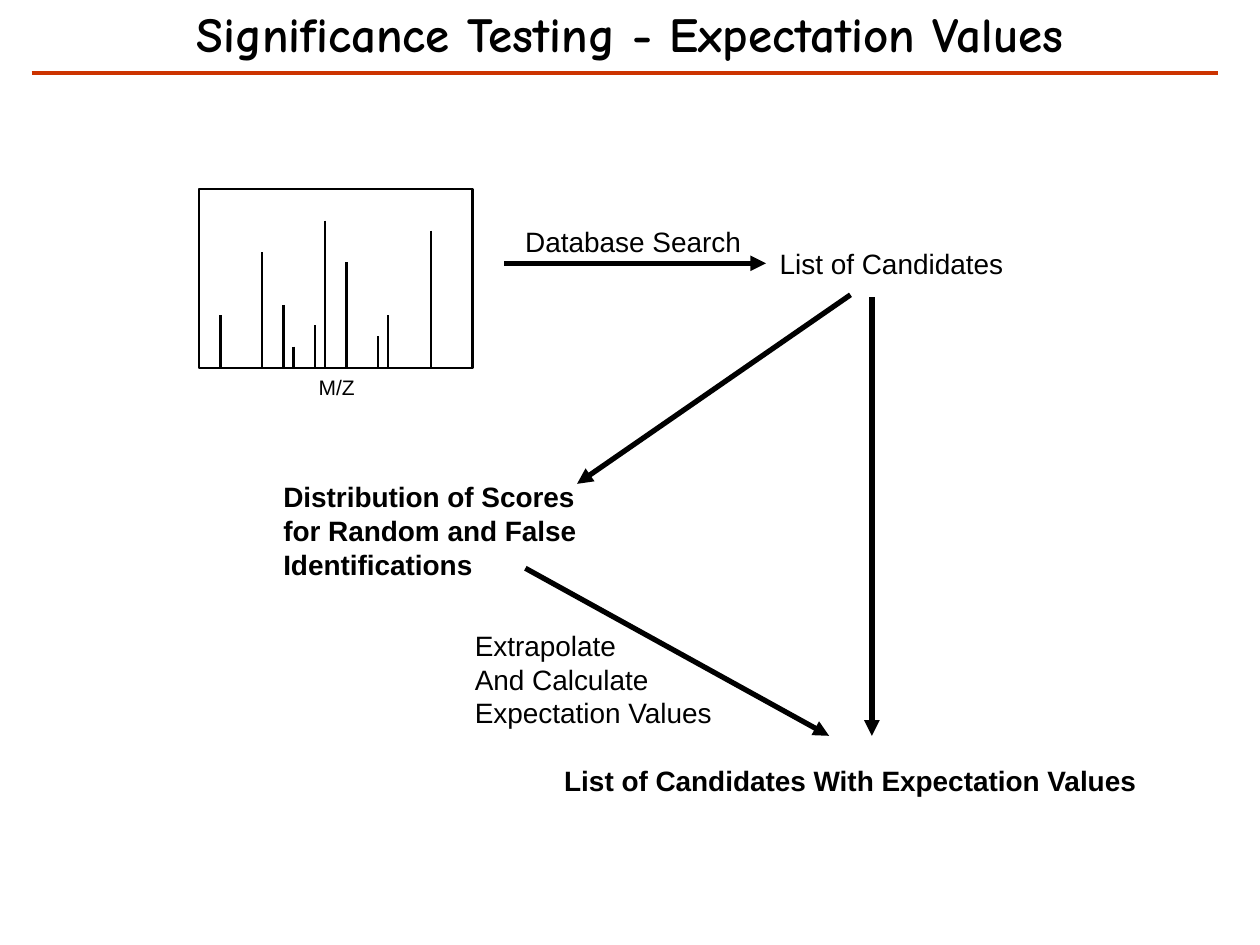
from lxml import etree
from pptx import Presentation
from pptx.dml.color import RGBColor
from pptx.enum.shapes import MSO_CONNECTOR, MSO_SHAPE
from pptx.enum.text import MSO_ANCHOR, MSO_AUTO_SIZE, PP_ALIGN
from pptx.oxml.ns import qn
from pptx.util import Inches, Pt

STRAIGHT = MSO_CONNECTOR.STRAIGHT
RECT = MSO_SHAPE.RECTANGLE
TOP = MSO_ANCHOR.TOP
FIT = MSO_AUTO_SIZE.SHAPE_TO_FIT_TEXT
NO_FIT = MSO_AUTO_SIZE.NONE
LEFT, CENTER = PP_ALIGN.LEFT, PP_ALIGN.CENTER

COLORS = {"ink": "000000", "rule": "CC3300"}

BASELINE = 2.92
PEAKS = [
    (1.75, 2.5), (2.08, 2), (2.25, 2.42), (2.33, 2.75), (2.5, 2.58),
    (2.58, 1.75), (2.75, 2.08), (3, 2.67), (3.08, 2.5), (3.42, 1.83),
]
ARROWS = [
    ((4, 2.09), (6.08, 2.09)),
    ((6.75, 2.34), (4.58, 3.84)),
    ((4.17, 4.51), (6.58, 5.84)),
    ((6.92, 2.36), (6.92, 5.84)),
]
LABELS = [
    ("Database Search", (4.07, 1.73, 1.93, 0.37), {}),
    ("M/Z", (2.43, 2.92, 0.49, 0.3), {"size": 12}),
    ("List of Candidates", (6.09, 1.91, 2, 0.37), {}),
    ("Extrapolate\nAnd Calculate\nExpectation Values",
     (3.67, 4.94, 2.1, 0.9), {}),
    ("List of Candidates With Expectation Values",
     (4.38, 6.01, 4.8, 0.37), {"bold": True}),
    ("Distribution of Scores\nfor Random and False\nIdentifications",
     (2.15, 3.76, 2.6, 0.9), {"bold": True}),
]


def rgb(name):
    return RGBColor.from_string(COLORS[name])


def add_text(s, text, box, size=16, font="Arial", bold=False, color="ink",
             align=LEFT, spacing=None, wrap=False, inset=None):
    sp = s.shapes.add_textbox(*map(Inches, box))
    tf = sp.text_frame
    tf.word_wrap = wrap
    tf.auto_size = NO_FIT if wrap else FIT
    tf.vertical_anchor = TOP
    if inset is not None:
        tf.margin_left = tf.margin_right = Inches(inset)
        tf.margin_top = tf.margin_bottom = Inches(inset)
    for i, line in enumerate(text.split("\n")):
        p = tf.paragraphs[0] if i == 0 else tf.add_paragraph()
        p.alignment = align
        if spacing:
            p.line_spacing = spacing
        r = p.add_run()
        r.text = line
        r.font.name = font
        r.font.size = Pt(size)
        r.font.bold = bold
        r.font.color.rgb = rgb(color)


def add_line(s, start, end, width=1.5, color="ink", arrow=False):
    line = s.shapes.add_connector(STRAIGHT, *map(Inches, start + end))
    line.line.width = Pt(width)
    line.line.color.rgb = rgb(color)
    if arrow:
        etree.SubElement(line.line._get_or_add_ln(), qn("a:tailEnd"),
                         type="triangle")
    etree.SubElement(line._element.spPr, qn("a:effectLst"))


def add_spectrum(s):
    frame = s.shapes.add_shape(RECT, *map(Inches, (1.58, 1.5, 2.17, 1.42)))
    frame.shadow.inherit = False
    frame.fill.background()
    frame.line.width = Pt(1.5)
    frame.line.color.rgb = rgb("ink")
    for x, top in PEAKS:
        add_line(s, (x, top), (x, BASELINE))


def main():
    prs = Presentation()
    prs.slide_width, prs.slide_height = Inches(10), Inches(7.5)
    s = prs.slides.add_slide(prs.slide_layouts[6])
    add_text(s, "Significance Testing - Expectation Values",
             (0, 0.08, 10, 0.89), size=28, font="Comic Neue", bold=True,
             align=CENTER, spacing=0.9, wrap=True, inset=0)
    add_line(s, (0.25, 0.58), (9.67, 0.58), width=2.5, color="rule")
    add_spectrum(s)
    for start, end in ARROWS:
        add_line(s, start, end, width=3, arrow=True)
    for text, box, style in LABELS:
        add_text(s, text, box, **style)
    prs.save("out.pptx")


if __name__ == "__main__":
    main()
